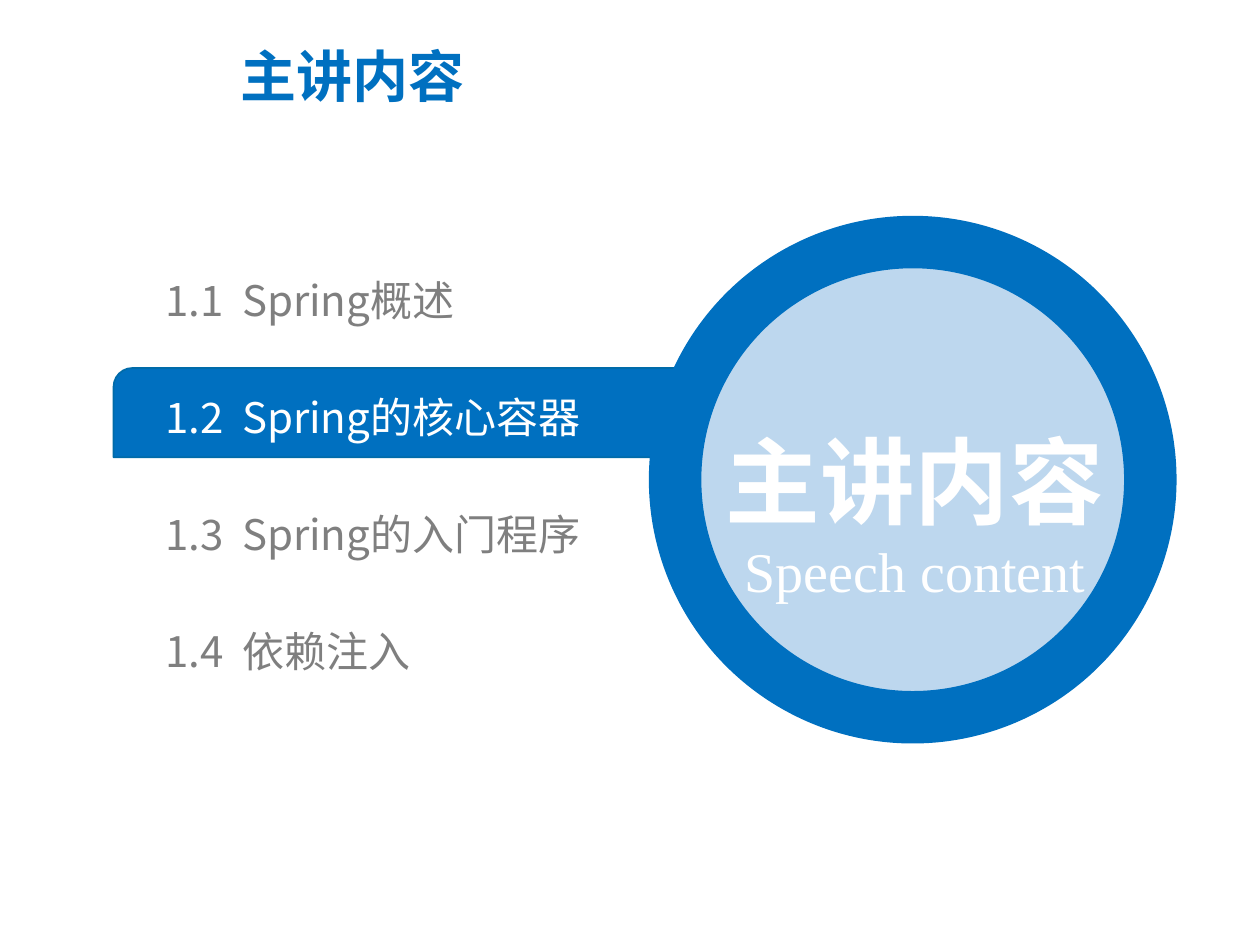
from lxml import etree
from pptx import Presentation
from pptx import util as u
from pptx.dml.color import RGBColor
from pptx.enum import shapes, text
from pptx.oxml.ns import qn

BLUE, DARK_BLUE, PALE_BLUE = "0070C0", "006BA9", "BDD7EE"
WHITE, GREY = "FFFFFF", "7F7F7F"
CHINESE_FONT, LATIN_FONT = "Noto Sans CJK SC", "Times New Roman"
TOPICS = [("1.1", "Spring概述"), ("1.2", "Spring的核心容器"),
          ("1.3", "Spring的入门程序"), ("1.4", "依赖注入")]
CURRENT_TOPIC = "1.2"
FIRST_TOP, ROW_PITCH = 5.53, 2.36


def color(value):
    """Return the colour for a hex string."""
    return RGBColor.from_string(value)


def add_block(slide, kind, box, fill, line, width):
    """Add a filled and outlined preset shape."""
    shape = slide.shapes.add_shape(kind, *map(u.Cm, box))
    shape.shadow.inherit = False
    shape.fill.solid()
    shape.fill.fore_color.rgb = color(fill)
    shape.line.color.rgb = color(line)
    shape.line.width = u.Pt(width)
    return shape


def add_frame(slide, box, anchor, margins=(0.25, 0.13)):
    """Add a wrapping text box and return its frame."""
    frame = slide.shapes.add_textbox(*map(u.Cm, box)).text_frame
    frame.word_wrap = True
    frame.vertical_anchor = anchor
    frame.margin_left = frame.margin_right = u.Cm(margins[0])
    frame.margin_top = frame.margin_bottom = u.Cm(margins[1])
    return frame


def add_run(paragraph, words, size, hex_color, bold=False, font=CHINESE_FONT):
    """Add a run with the same typeface for Latin and Chinese."""
    run = paragraph.add_run()
    run.text = words
    run.font.size = u.Pt(size)
    run.font.bold = bold
    run.font.color.rgb = color(hex_color)
    run.font.name = font
    etree.SubElement(run.font._element, qn("a:ea"), typeface=font)


def add_tab_stop(paragraph, position):
    """Add a left tab stop at a position in centimetres."""
    properties = paragraph._p.get_or_add_pPr()
    stops = etree.SubElement(properties, qn("a:tabLst"))
    etree.SubElement(stops, qn("a:tab"), pos=str(u.Cm(position)), algn="l")


def add_title(slide):
    """Add the slide title."""
    frame = add_frame(slide, (4.6, 0.86, 15.62, 2.16), text.MSO_ANCHOR.TOP)
    paragraph = frame.paragraphs[0]
    paragraph.line_spacing = 0.9
    add_run(paragraph, "主讲内容", 32, BLUE, bold=True)


def add_magnifier(slide):
    """Add the handle bar and the lens with its caption."""
    bar = add_block(slide, shapes.MSO_SHAPE.ROUND_2_DIAG_RECTANGLE,
                    (2.29, 7.42, 15.9, 1.8), BLUE, DARK_BLUE, 1)
    bar.adjustments[0] = 0.21
    add_block(slide, shapes.MSO_SHAPE.OVAL, (13.61, 4.88, 9.58, 9.58),
              PALE_BLUE, BLUE, 30)
    frame = add_frame(slide, (13.49, 7.26, 9.91, 5.05), text.MSO_ANCHOR.MIDDLE)
    heading, subtitle = frame.paragraphs[0], frame.add_paragraph()
    heading.alignment = subtitle.alignment = text.PP_ALIGN.CENTER
    heading.line_spacing = 1.5
    add_run(heading, "主讲内容", 54, WHITE, bold=True)
    add_run(subtitle, "Speech content", 32, WHITE, font=LATIN_FONT)


def add_topic(slide, row, number, name):
    """Add one numbered topic of the list."""
    box = (3.33, FIRST_TOP + row * ROW_PITCH, 11.7, 1.02)
    frame = add_frame(slide, box, text.MSO_ANCHOR.MIDDLE, margins=(0, 0))
    paragraph = frame.paragraphs[0]
    add_tab_stop(paragraph, 1.55)
    hex_color = WHITE if number == CURRENT_TOPIC else GREY
    add_run(paragraph, f"{number}\t{name}", 24, hex_color)


def main():
    """Build the contents slide and save it."""
    presentation = Presentation()
    presentation.slide_width = u.Cm(25.4)
    presentation.slide_height = u.Cm(19.05)
    slide = presentation.slides.add_slide(presentation.slide_layouts[6])
    add_title(slide)
    add_magnifier(slide)
    for row, (number, name) in enumerate(TOPICS):
        add_topic(slide, row, number, name)
    presentation.save("out.pptx")


if __name__ == "__main__":
    main()
